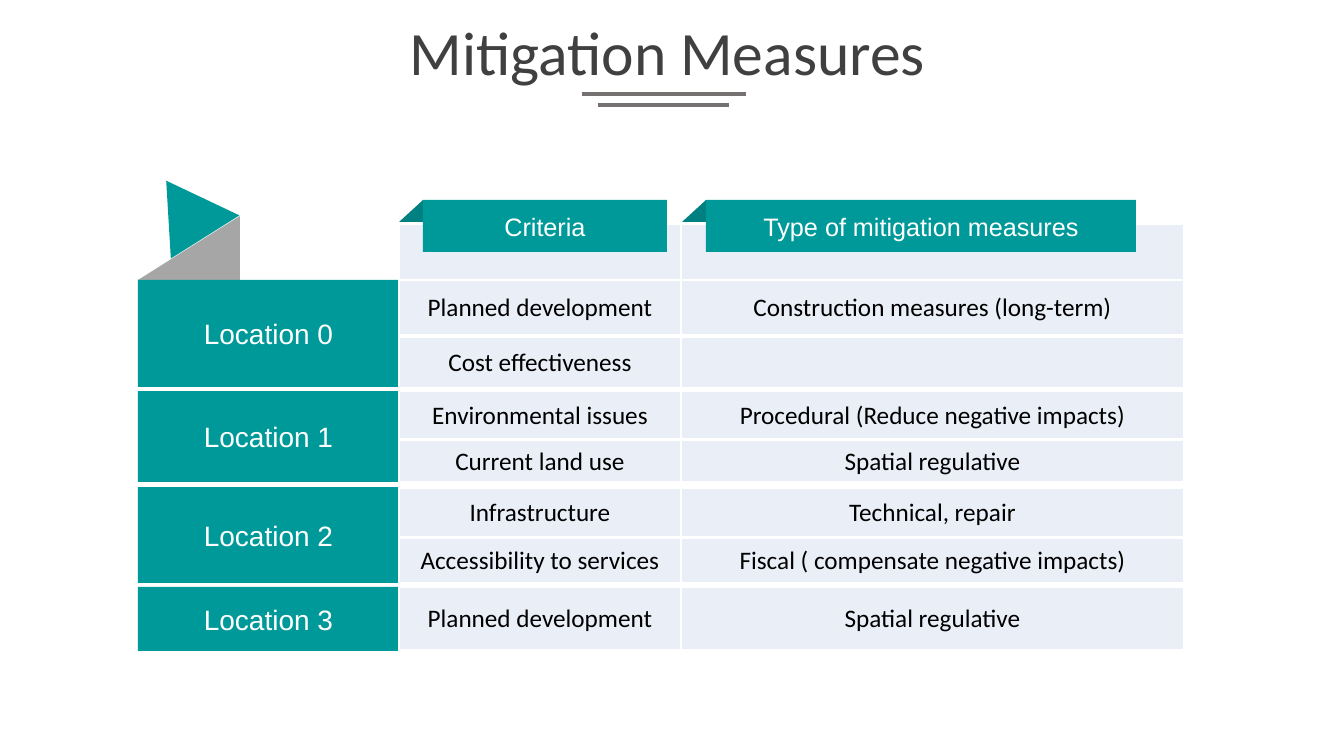
from lxml import etree
from pptx import Presentation
from pptx.dml.color import RGBColor
from pptx.enum.shapes import MSO_CONNECTOR, MSO_SHAPE
from pptx.enum.text import MSO_ANCHOR, MSO_AUTO_SIZE, PP_ALIGN
from pptx.oxml import parse_xml
from pptx.oxml.ns import nsdecls, qn
from pptx.util import Pt

PX = 914400 / 100.8
TEAL = RGBColor(0x00, 0x99, 0x99)
DARK = RGBColor(0x00, 0x80, 0x80)
GRAY = RGBColor(0xA6, 0xA6, 0xA6)
RULE = RGBColor(0x76, 0x71, 0x71)
INK = RGBColor(0x40, 0x40, 0x40)
PALE = RGBColor(0xEA, 0xEF, 0xF7)
WHITE = RGBColor(0xFF, 0xFF, 0xFF)
BLACK = RGBColor(0x00, 0x00, 0x00)
RECT = MSO_SHAPE.RECTANGLE
RIGHT = MSO_SHAPE.RIGHT_TRIANGLE
PEAK = MSO_SHAPE.ISOSCELES_TRIANGLE
LINE = MSO_CONNECTOR.STRAIGHT
CENTER = PP_ALIGN.CENTER
MIDDLE = MSO_ANCHOR.MIDDLE
FIXED = MSO_AUTO_SIZE.NONE

LEFT = 399
COLS = (282, 503)
EDGES = (("lnL", 1), ("lnR", 1), ("lnT", 1), ("lnB", 3))
ROWS = (
    (224, 58, "", ""),
    (280, 56, "Planned development", "Construction measures (long-term)"),
    (337, 52, "Cost effectiveness", ""),
    (391, 49, "Environmental issues", "Procedural (Reduce negative impacts)"),
    (440, 43, "Current land use", "Spatial regulative"),
    (488, 50, "Infrastructure", "Technical, repair"),
    (538, 46, "Accessibility to services", "Fiscal ( compensate negative impacts)"),
    (587, 64, "Planned development", "Spatial regulative"),
)
PLACES = ((280, 107), (391, 91), (487, 96), (587, 64))
HEADS = (
    ("Criteria", 423, 244),
    ("Type of mitigation measures", 706, 430),
)


def px(*sizes):
    return [round(size * PX) for size in sizes]


def write(frame, text, size=18, font="Calibri", color=BLACK, space=None):
    frame.text = text
    para = frame.paragraphs[0]
    para.alignment = CENTER
    para.line_spacing = space
    for run in para.runs:
        run.font.size = Pt(size)
        run.font.name = font
        run.font.color.rgb = color


def draw(slide, kind, box, color, turn=0, flip=False):
    shape = slide.shapes.add_shape(kind, *px(*box))
    shape.shadow.inherit = False
    shape.fill.solid()
    shape.fill.fore_color.rgb = color
    shape.line.fill.background()
    shape.rotation = turn
    if flip:
        shape._element.spPr.get_or_add_xfrm().set("flipH", "1")
    return shape


def label(slide, text, box, size):
    frame = draw(slide, RECT, box, TEAL).text_frame
    frame.word_wrap = True
    frame.vertical_anchor = MIDDLE
    write(frame, text, size=size, font="Arial", color=WHITE)


def edge(cell):
    props = cell._tc.get_or_add_tcPr()
    for spot, (name, width) in enumerate(EDGES):
        props.insert(spot, parse_xml(
            f'<a:{name} {nsdecls("a")} w="{Pt(width)}"><a:solidFill>'
            f'<a:srgbClr val="{WHITE}"/></a:solidFill></a:{name}>'))


def strip(slide, top, high, texts):
    box = px(LEFT, top, sum(COLS), high)
    table = slide.shapes.add_table(1, len(COLS), *box).table
    table.first_row = False
    table.horz_banding = False
    for col, wide in zip(table.columns, px(*COLS)):
        col.width = wide
    for cell, text in zip(table.rows[0].cells, texts):
        cell.fill.solid()
        cell.fill.fore_color.rgb = PALE
        cell.vertical_anchor = MIDDLE
        edge(cell)
        if text:
            write(cell.text_frame, text)


def rule(slide, left, right, y):
    line = slide.shapes.add_connector(LINE, *px(left, y, right, y))
    line.line.color.rgb = RULE
    line.line.width = Pt(2.25)
    etree.SubElement(line._element.spPr, qn("a:effectLst"))


def head(slide, text):
    title = slide.shapes.title
    title.left, title.top, title.width, title.height = px(88, 16, 1159, 79)
    frame = title.text_frame
    frame.auto_size = FIXED
    frame.vertical_anchor = MIDDLE
    write(frame, text, size=44, color=INK, space=0.9)


def main():
    deck = Presentation()
    deck.slide_width, deck.slide_height = px(1344, 756)
    slide = deck.slides.add_slide(deck.slide_layouts[5])
    head(slide, "Mitigation Measures")
    rule(slide, 582, 746, 94)
    rule(slide, 598, 729, 105)
    draw(slide, RIGHT, (138, 216, 102, 64), GRAY, flip=True)
    draw(slide, PEAK, (165, 182, 78, 71), TEAL, turn=86.6)
    for spot, (top, high) in enumerate(PLACES):
        label(slide, f"Location {spot}", (138, top, 261, high), 20)
    for top, high, *texts in ROWS:
        strip(slide, top, high, texts)
    for text, left, wide in HEADS:
        draw(slide, RIGHT, (left - 23, 199, 22, 24), DARK, turn=270)
        label(slide, text, (left, 200, wide, 52), 18)
    deck.save("out.pptx")


if __name__ == "__main__":
    main()
